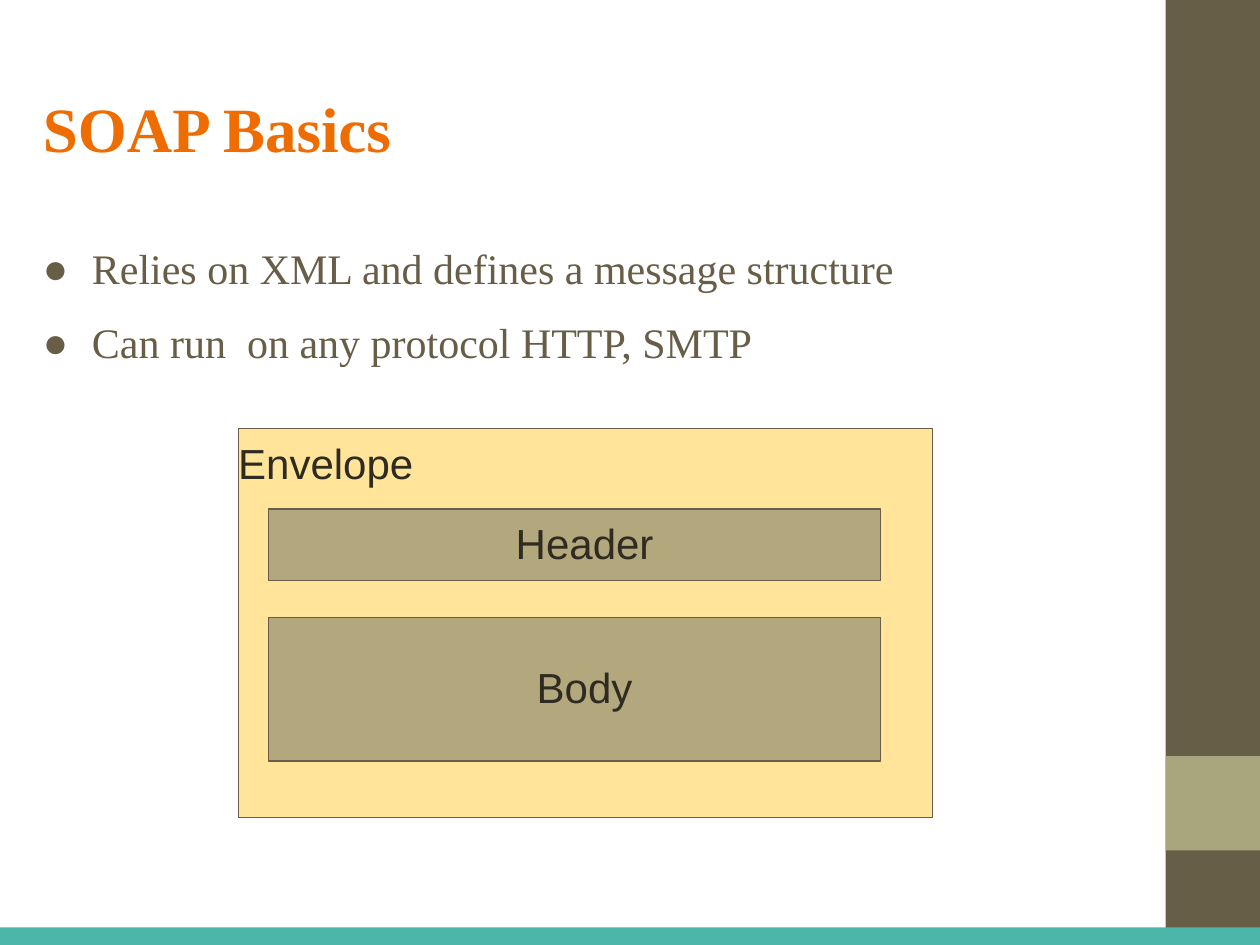
from lxml import etree
from pptx import Presentation
from pptx.dml.color import RGBColor
from pptx.enum.shapes import MSO_SHAPE
from pptx.enum.text import MSO_ANCHOR, PP_ALIGN
from pptx.oxml.ns import qn
from pptx.util import Inches, Pt

RECT = MSO_SHAPE.RECTANGLE
TOP, MIDDLE = MSO_ANCHOR.TOP, MSO_ANCHOR.MIDDLE
LEFT, CENTER = PP_ALIGN.LEFT, PP_ALIGN.CENTER
SERIF, SANS = "Times New Roman", "Arial"
COLORS = {
    "sidebar": "675E47",
    "accent": "A9A57C",
    "footer": "4DB6AB",
    "envelope": "FFE499",
    "part": "B3A77D",
    "brown": "685D46",
    "dark": "2F2B20",
    "title": "EE6C00",
}


def color(name):
    """Return the named colour."""
    return RGBColor.from_string(COLORS[name])


def add_rect(s, box, fill, line=None):
    """Add a flat rectangle, outlined when a line colour is given."""
    sp = s.shapes.add_shape(RECT, *map(Inches, box))
    sp.shadow.inherit = False
    sp.fill.solid()
    sp.fill.fore_color.rgb = color(fill)
    if line:
        sp.line.color.rgb = color(line)
        sp.line.width = Pt(0.75)
    else:
        sp.line.fill.background()
    return sp


def add_bullet(p, indent=0.39):
    """Give a paragraph a round bullet with a hanging indent."""
    pPr = p._p.get_or_add_pPr()
    pPr.set("marL", str(Inches(indent)))
    pPr.set("indent", str(-Inches(indent)))
    etree.SubElement(pPr, qn("a:buFont")).set("typeface", SANS)
    etree.SubElement(pPr, qn("a:buChar")).set("char", "●")


def set_text(sp, *lines, size=24, font=SANS, ink="dark", bold=False, align=LEFT,
             anchor=TOP, left=0, top=0, gap=0, bullet=False):
    """Write one paragraph per line into a shape."""
    tf = sp.text_frame
    tf.word_wrap = True
    tf.vertical_anchor = anchor
    tf.margin_left, tf.margin_top = Inches(left), Inches(top)
    tf.margin_right = tf.margin_bottom = 0
    for i, line in enumerate(lines):
        p = tf.add_paragraph() if i else tf.paragraphs[0]
        p.alignment = align
        p.line_spacing = 0.96
        p.space_before = Pt(gap if i else 0)
        if bullet:
            add_bullet(p)
        r = p.add_run()
        r.text = line
        r.font.size = Pt(size)
        r.font.name = font
        r.font.bold = bold
        r.font.color.rgb = color(ink)


def add_text(s, box, *lines, **fmt):
    """Add a text box."""
    set_text(s.shapes.add_textbox(*map(Inches, box)), *lines, **fmt)


def add_frame(s):
    """Add the side and bottom bands."""
    add_rect(s, (9.25, 0, 0.75, 7.5), "sidebar")
    add_rect(s, (9.25, 6, 0.75, 0.75), "accent")
    add_rect(s, (0, 7.36, 10, 0.14), "footer")


def add_message(s):
    """Add the envelope with its header and body."""
    envelope = add_rect(s, (1.89, 3.4, 5.51, 3.09), "envelope", "brown")
    set_text(envelope, "Envelope", top=0.1)
    for name, y, height in (("Header", 4.04, 0.57), ("Body", 4.9, 1.14)):
        part = add_rect(s, (2.13, y, 4.86, height), "part", "brown")
        set_text(part, name, align=CENTER, anchor=MIDDLE, left=0.16)


def main():
    """Build the slide and save it."""
    prs = Presentation()
    prs.slide_width, prs.slide_height = Inches(10), Inches(7.5)
    s = prs.slides.add_slide(prs.slide_layouts[6])
    add_frame(s)
    add_message(s)
    add_text(s, (0.34, 1.85, 8.57, 1.33),
             "Relies on XML and defines a message structure",
             "Can run  on any protocol HTTP, SMTP",
             font=SERIF, ink="brown", top=0.1, gap=15, bullet=True)
    add_text(s, (0.34, 0.65, 8.57, 1.03), "SOAP Basics",
             size=36, font=SERIF, ink="title", bold=True, top=0.1)
    prs.save("out.pptx")


if __name__ == "__main__":
    main()
